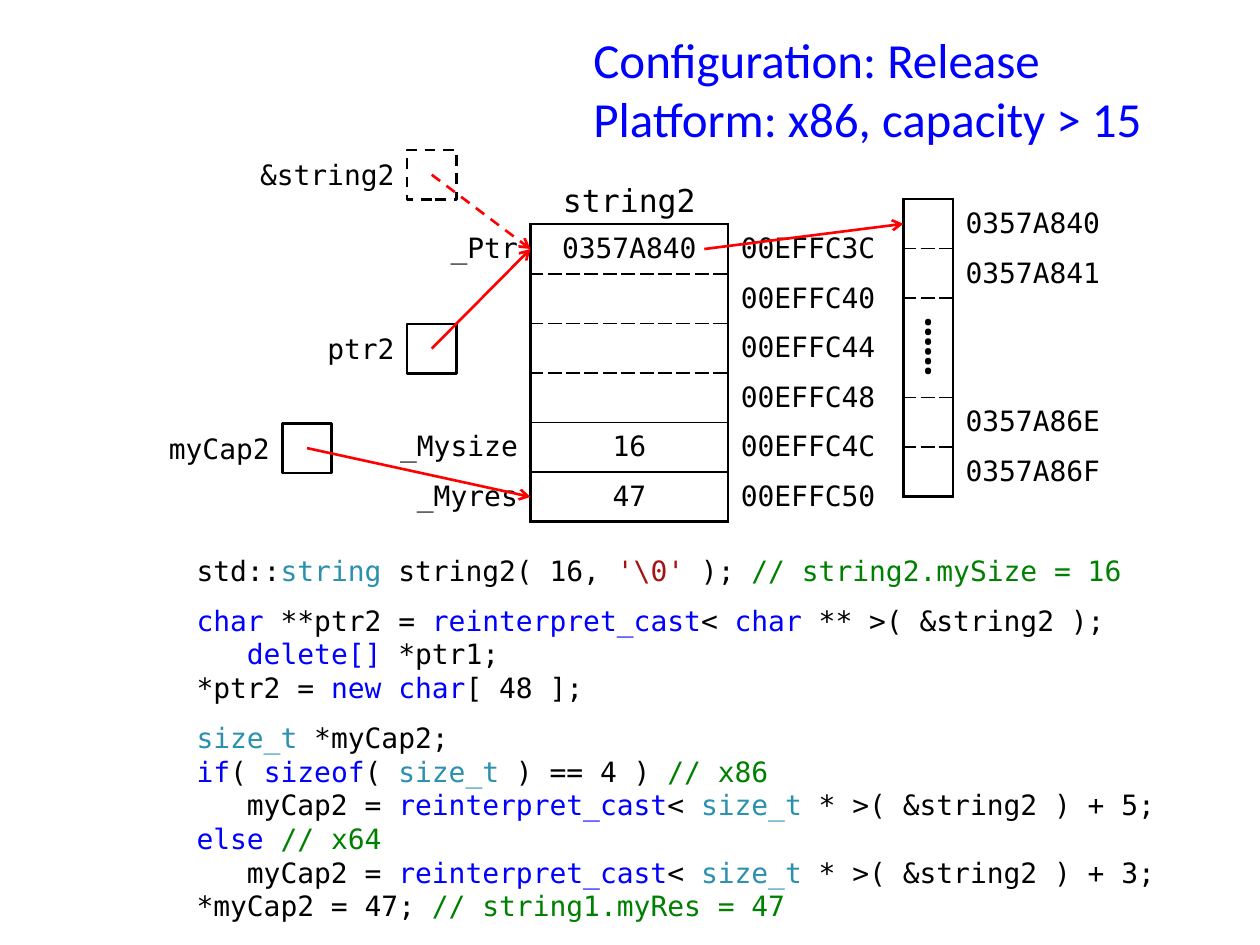
import pptx
import pptx.dml.color
import pptx.enum.dml
import pptx.enum.shapes
import pptx.enum.text
import pptx.oxml
import pptx.oxml.ns
import pptx.util
from pptx.util import Inches, Pt

RGBColor = pptx.dml.color.RGBColor
ALIGN = pptx.enum.text.PP_ALIGN
MIDDLE = pptx.enum.text.MSO_ANCHOR.MIDDLE
TOP = pptx.enum.text.MSO_ANCHOR.TOP
DASH = pptx.enum.dml.MSO_LINE.DASH

BLACK = RGBColor(0, 0, 0)
BLUE = RGBColor(0, 0, 0xFF)
RED = RGBColor(0xFF, 0, 0)
TEAL = RGBColor(0x2B, 0x91, 0xAF)
BROWN = RGBColor(0xA3, 0x15, 0x15)
GREEN = RGBColor(0, 0x80, 0)

MONO = "DejaVu Sans Mono"
NO_GRID_STYLE = "{2D5ABB26-0587-4C30-8999-92F81FD0307C}"
CELL = 2.36 / 6
LABEL_WIDTH = 1.38
OBJECT_LEFT, OBJECT_TOP, OBJECT_WIDTH = 4.21, 1.78, 1.57
BUFFER_LEFT, BUFFER_TOP = 7.17, 1.58

# Border styles: width in points, preset dash
OUTER = (1.5, "solid")
INNER = (1, "solid")
BROKEN = (1, "sysDash")


def capacity_line(offset):
    return [("   myCap2 = ", BLACK), ("reinterpret_cast", BLUE), ("< ", BLACK),
            ("size_t", TEAL), (f" * >( &string2 ) + {offset};", BLACK)]


CODE_BLOCKS = [
    [[("std::", BLACK), ("string", TEAL), (" string2( 16, ", BLACK),
      ("'\\0'", BROWN), (" ); ", BLACK), ("// string2.mySize = 16", GREEN)]],
    [[("char", BLUE), (" **ptr2 = ", BLACK), ("reinterpret_cast", BLUE),
      ("< ", BLACK), ("char", BLUE), (" ** >( &string2 );", BLACK)],
     [("   ", BLACK), ("delete[]", BLUE), (" *ptr1;", BLACK)],
     [("*ptr2 = ", BLACK), ("new", BLUE), (" ", BLACK), ("char", BLUE),
      ("[ 48 ];", BLACK)]],
    [[("size_t", TEAL), (" *myCap2;", BLACK)],
     [("if", BLUE), ("( ", BLACK), ("sizeof", BLUE), ("( ", BLACK),
      ("size_t", TEAL), (" ) == 4 ) ", BLACK), ("// x86", GREEN)],
     capacity_line(5),
     [("else", BLUE), (" ", BLACK), ("// x64", GREEN)],
     capacity_line(3),
     [("*myCap2 = 47; ", BLACK), ("// string1.myRes = 47", GREEN)]],
]


class MemorySlide:
    def __init__(self, presentation):
        self.slide = presentation.slides.add_slide(presentation.slide_layouts[1])
        self.shapes = self.slide.shapes

    def place(self, shape, left, top, width, height):
        shape.left, shape.top = Inches(left), Inches(top)
        shape.width, shape.height = Inches(width), Inches(height)
        shape.text_frame.auto_size = pptx.enum.text.MSO_AUTO_SIZE.NONE

    def style_font(self, font, size=16, name=MONO, color=BLACK):
        font.size, font.name = Pt(size), name
        font.color.rgb = color

    def set_text(self, text_frame, text, align=ALIGN.LEFT, **style):
        text_frame.text = text
        for paragraph in text_frame.paragraphs:
            paragraph.alignment = align
            for run in paragraph.runs:
                self.style_font(run.font, **style)

    def title(self, text, left, top, width, height):
        title = self.shapes.title
        self.place(title, left, top, width, height)
        title.text_frame.vertical_anchor = MIDDLE
        self.set_text(title.text_frame, text, size=28, name="Calibri", color=BLUE)

    def code(self, blocks, left, top, width, height):
        body = self.slide.placeholders[1]
        self.place(body, left, top, width, height)
        body.text_frame.vertical_anchor = TOP
        paragraph = body.text_frame.paragraphs[0]
        for block_index, block in enumerate(blocks):
            for line_index, line in enumerate(block):
                if block_index or line_index:
                    paragraph = body.text_frame.add_paragraph()
                properties = paragraph._p.get_or_add_pPr()
                properties.set("marL", "0")
                properties.set("indent", "0")
                properties.append(pptx.oxml.parse_xml(
                    f'<a:buNone {pptx.oxml.ns.nsdecls("a")}/>'))
                new_block = block_index and not line_index
                paragraph.space_before = Pt(9.5 if new_block else 0)
                for text, color in line:
                    run = paragraph.add_run()
                    run.text = text
                    self.style_font(run.font, color=color)

    def label(self, text, left, top, width, align, anchor=MIDDLE, size=16):
        box = self.shapes.add_textbox(0, 0, 0, 0)
        self.place(box, left, top, width, CELL)
        box.text_frame.word_wrap = True
        box.text_frame.vertical_anchor = anchor
        self.set_text(box.text_frame, text, align, size=size)

    def pointer_box(self, name, left, top, label_width, dash=None):
        """Draw a pointer variable with its name to the left."""
        self.label(name, left - label_width, top, label_width, ALIGN.RIGHT)
        box = self.shapes.add_shape(
            pptx.enum.shapes.MSO_SHAPE.RECTANGLE, Inches(left), Inches(top),
            Inches(CELL), Inches(CELL))
        box.shadow.inherit = False
        box.fill.background()
        self.style_line(box.line, BLACK, dash)

    def style_line(self, line, color, dash=None):
        line.color.rgb = color
        line.width = Pt(1.5)
        if dash:
            line.dash_style = dash

    def arrow(self, start, end, dash=None):
        connector = self.shapes.add_connector(
            pptx.enum.shapes.MSO_CONNECTOR.STRAIGHT,
            *(Inches(value) for value in (*start, *end)))
        self.style_line(connector.line, RED, dash)
        namespace = pptx.oxml.ns.nsdecls("a")
        connector.line._get_or_add_ln().append(
            pptx.oxml.parse_xml(f'<a:tailEnd {namespace} type="arrow"/>'))
        connector._element.spPr.append(
            pptx.oxml.parse_xml(f"<a:effectLst {namespace}/>"))

    def table(self, left, top, widths, rows, framed, rules, aligns):
        """Add a table whose framed column has the given rules above and below its rows."""
        table = self.shapes.add_table(
            len(rows), len(widths), Inches(left), Inches(top),
            Inches(sum(widths)), Inches(CELL * len(rows))).table
        table.first_row = table.horz_banding = False
        table._tbl.tblPr[0].text = NO_GRID_STYLE
        for column, width in zip(table.columns, widths):
            column.width = Inches(width)
        for row_index, row in enumerate(rows):
            table.rows[row_index].height = Inches(CELL)
            for column_index, text in enumerate(row):
                cell = table.cell(row_index, column_index)
                cell.vertical_anchor = MIDDLE
                cell.margin_left = cell.margin_right = Inches(
                    0.08 if column_index == framed else 0.1)
                cell.margin_top = cell.margin_bottom = Inches(0.04)
                self.set_text(cell.text_frame, text, aligns[column_index])
                if column_index == framed:
                    self.borders(cell, L=OUTER, R=OUTER, T=rules[row_index],
                                 B=rules[row_index + 1])
                cell.fill.background()
        return table

    def borders(self, cell, **sides):
        for side, (width, dash) in sides.items():
            cell._tc.get_or_add_tcPr().append(pptx.oxml.parse_xml(
                f'<a:ln{side} {pptx.oxml.ns.nsdecls("a")} w="{Pt(width)}">'
                f'<a:solidFill><a:srgbClr val="{BLACK}"/></a:solidFill>'
                f'<a:prstDash val="{dash}"/></a:ln{side}>'))


def main():
    presentation = pptx.Presentation()
    presentation.slide_width, presentation.slide_height = Inches(10), Inches(7.5)
    page = MemorySlide(presentation)
    page.code(CODE_BLOCKS, 1.46, 4.34, 8.27, 2.76)
    page.title("Configuration: Release\vPlatform: x86, capacity > 15",
               4.61, 0.21, 4.92, 0.98)

    members = [("_Ptr", "0357A840"), ("", ""), ("", ""), ("", ""),
               ("_Mysize", "16"), ("_Myres", "47")]
    object_rows = [(name, value, f"00EFFC{0x3C + 4 * index:X}")
                   for index, (name, value) in enumerate(members)]
    page.table(OBJECT_LEFT - LABEL_WIDTH, OBJECT_TOP,
               (LABEL_WIDTH, OBJECT_WIDTH, LABEL_WIDTH), object_rows, 1,
               [OUTER, *[BROKEN] * 3, INNER, INNER, OUTER],
               (ALIGN.RIGHT, ALIGN.CENTER, ALIGN.LEFT))
    page.label("string2", OBJECT_LEFT, OBJECT_TOP - CELL, OBJECT_WIDTH,
               ALIGN.CENTER, TOP, 18)

    addresses = ["0357A840", "0357A841", "", "", "0357A86E", "0357A86F"]
    buffer = page.table(BUFFER_LEFT, BUFFER_TOP, (CELL, LABEL_WIDTH),
                        [("", address) for address in addresses], 0,
                        [OUTER, *[BROKEN] * 5, OUTER], (ALIGN.CENTER, ALIGN.LEFT))
    gap = buffer.cell(2, 0)
    gap.merge(buffer.cell(3, 0))
    gap.margin_left = gap.margin_right = gap.margin_top = gap.margin_bottom = 0
    page.set_text(gap.text_frame, "⸽", ALIGN.CENTER, size=28, name="Times New Roman")

    first_member = (OBJECT_LEFT, OBJECT_TOP + CELL / 2)
    last_member = (OBJECT_LEFT, OBJECT_TOP + 5.5 * CELL)
    pointers = [("&string2", 3.23, 1.19, 1.38, first_member, DASH),
                ("ptr2", 3.23, 2.57, 0.79, first_member, None),
                ("myCap2", 2.24, 3.36, 1.18, last_member, None)]
    for name, left, top, label_width, target, dash in pointers:
        page.pointer_box(name, left, top, label_width, dash)
        page.arrow((left + CELL / 2, top + CELL / 2), target, dash)
    page.arrow((5.59, first_member[1]), (BUFFER_LEFT, BUFFER_TOP + CELL / 2))
    presentation.save("out.pptx")


if __name__ == "__main__":
    main()
